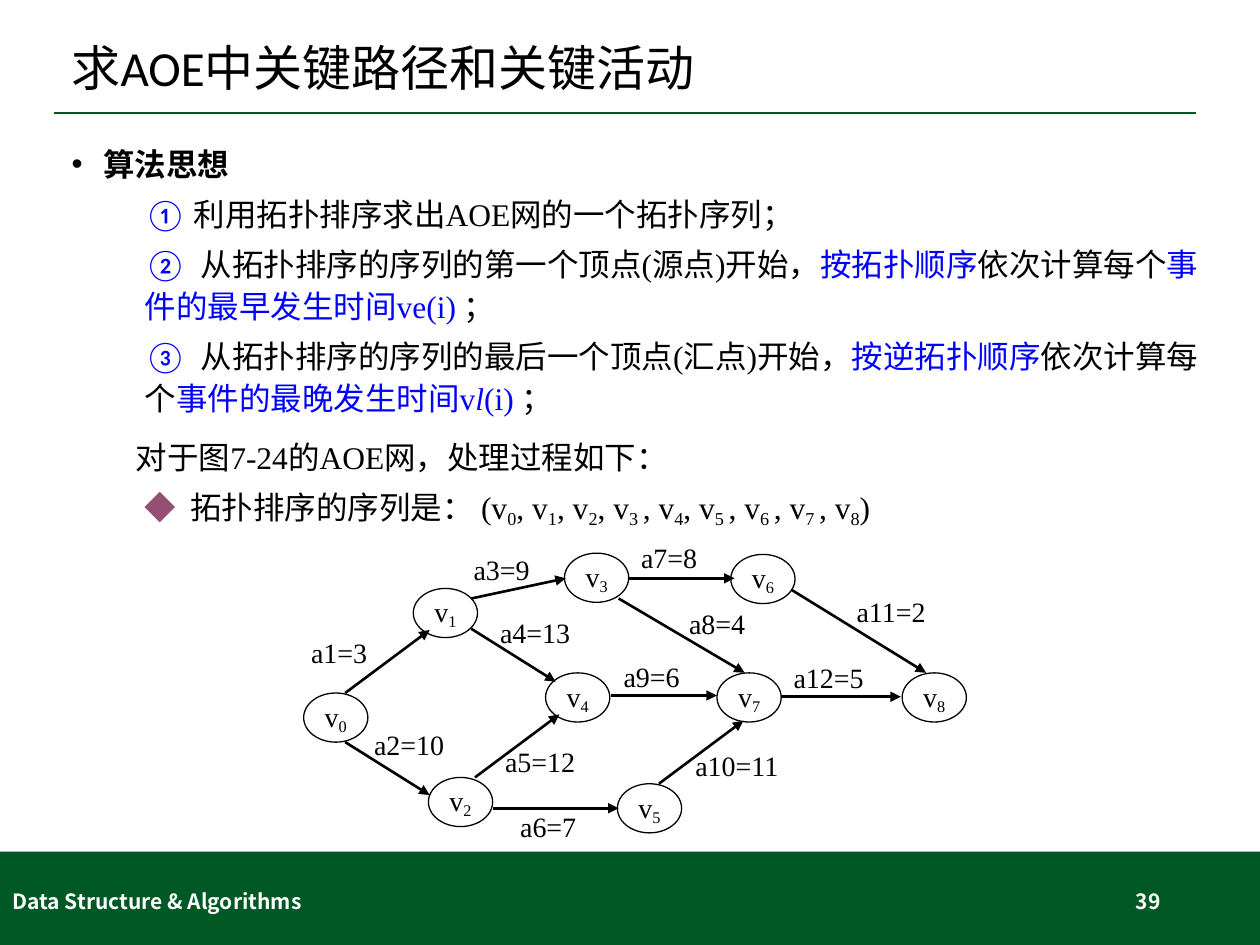
from lxml import etree
from pptx import Presentation
from pptx import util as u
from pptx.dml.color import RGBColor
from pptx.enum import shapes, text
from pptx.oxml.ns import qn

COLORS = {"green": "005825", "black": "000000", "white": "FFFFFF",
          "blue": "0000FF", "plum": "954F72"}
SERIF, SANS, FOOTER = "Times New Roman", "Calibri", "Noto Sans CJK SC"

# The grid has 100 columns and 75 rows of square cells
WIDTH, HEIGHT = u.Inches(10), u.Inches(7.5)
CELL = WIDTH / 100
NODE_WIDTH, NODE_HEIGHT = 5.1, 3.9
LABEL_WIDTH, LABEL_HEIGHT = 9.5, 3.5

BLUE, SUB = {"color": "blue"}, {"subscript": True}

# Left column and top row of each vertex
NODES = [(24.1, 55), (32.8, 46.7), (34, 61.7), (44.8, 43.9), (43.3, 53.4),
         (49, 62.2), (58, 44), (56.9, 53.4), (71.6, 53.4)]

# Activity: label, label column and row, arrow start, arrow end
EDGES = [
    ("a1=3", (23.7, 50), (27.4, 55), (34.1, 50)),
    ("a2=10", (28.7, 57.3), (27.4, 58.9), (34.1, 63.1)),
    ("a3=9", (36.6, 43.4), (37.4, 47.5), (44.9, 45.9)),
    ("a4=13", (38.7, 48.4), (37.4, 49.9), (44.1, 54.1)),
    ("a5=12", (39.1, 58.7), (37.7, 61.7), (44.4, 56.7)),
    ("a6=7", (40.3, 63.8), (39.1, 64.15), (49.1, 64.15)),
    ("a7=8", (49.9, 42.5), (49.9, 45.9), (58.3, 45.9)),
    ("a8=4", (53.7, 47.7), (49.1, 47.5), (59.1, 53.4)),
    ("a9=6", (48.5, 51.9), (48.5, 55.2), (56.9, 55.2)),
    ("a10=11", (54.2, 59), (52.3, 62.2), (59, 57.2)),
    ("a11=2", (67, 46.8), (62.8, 46.8), (73.5, 53.4)),
    ("a12=5", (62, 52), (62, 55.3), (71.5, 55.3)),
]


def cells(*values):
    return [u.Emu(round(value * CELL)) for value in values]


def rgb(name):
    return RGBColor.from_string(COLORS[name])


def write(paragraph, pieces, size=16, font=SERIF, color="black", bold=False,
          italic=False, subscript=False):
    """Add pieces, each a string or a (string, format overrides) pair."""
    base = dict(size=size, font=font, color=color, bold=bold,
                italic=italic, subscript=subscript)
    for piece in [pieces] if isinstance(pieces, str) else pieces:
        words, changes = (piece, {}) if isinstance(piece, str) else piece
        style = {**base, **changes}
        run = paragraph.add_run()
        run.text = words
        run.font.size = u.Pt(style["size"])
        run.font.bold, run.font.italic = style["bold"], style["italic"]
        run.font.color.rgb = rgb(style["color"])
        run.font.name = style["font"]
        properties = run._r.get_or_add_rPr()
        properties.set("lang", "zh-CN")
        east_asian = FOOTER if style["font"] == FOOTER else SANS
        etree.SubElement(properties, qn("a:ea"), typeface=east_asian)
        if style["subscript"]:
            properties.set("baseline", "-18000")


def add_text(slide, place, pieces, align=text.PP_ALIGN.LEFT, **style):
    frame = slide.shapes.add_textbox(*cells(*place)).text_frame
    frame.word_wrap = True
    frame.vertical_anchor = text.MSO_ANCHOR.MIDDLE
    frame.paragraphs[0].alignment = align
    write(frame.paragraphs[0], pieces, **style)


def add_line(slide, start, end, color="black", width=1.5, arrow=False):
    line = slide.shapes.add_connector(
        shapes.MSO_CONNECTOR.STRAIGHT, *cells(*start, *end))
    line.line.color.rgb = rgb(color)
    line.line.width = u.Pt(width)
    if arrow:
        etree.SubElement(line.line._get_or_add_ln(), qn("a:tailEnd"),
                         type="triangle")
    etree.SubElement(line._element.spPr, qn("a:effectLst"))


def add_node(slide, number, corner):
    node = slide.shapes.add_shape(
        shapes.MSO_SHAPE.OVAL, *cells(*corner, NODE_WIDTH, NODE_HEIGHT))
    node.shadow.inherit = False
    node.fill.background()
    node.line.color.rgb = rgb("black")
    node.line.width = u.Pt(0.75)
    frame = node.text_frame
    frame.word_wrap = False
    frame.margin_left = frame.margin_right = 0
    frame.margin_top = frame.margin_bottom = 0
    frame.vertical_anchor = text.MSO_ANCHOR.MIDDLE
    frame.paragraphs[0].alignment = text.PP_ALIGN.CENTER
    write(frame.paragraphs[0], ["v", (str(number), SUB)])


def add_frame(slide):
    """Title, rule and footer band."""
    band = slide.shapes.add_shape(
        shapes.MSO_SHAPE.RECTANGLE, *cells(0, 67.6, 100, 7.4))
    band.shadow.inherit = False
    band.fill.solid()
    band.fill.fore_color.rgb = rgb("green")
    band.line.fill.background()
    add_line(slide, (4.3, 8.96), (94.9, 8.96), color="green", width=1)

    title = slide.shapes.title
    title.left, title.top, title.width, title.height = cells(
        4.7, 2.3, 90.6, 6.6)
    title.text_frame.vertical_anchor = text.MSO_ANCHOR.MIDDLE
    paragraph = title.text_frame.paragraphs[0]
    paragraph.alignment = text.PP_ALIGN.LEFT
    paragraph.line_spacing = 0.9
    write(paragraph, "求AOE中关键路径和关键活动", size=28, font=SANS)

    footer = dict(size=12, font=FOOTER, color="white", bold=True)
    add_text(slide, (0, 69.5, 33.8, 4), "Data Structure & Algorithms", **footer)
    add_text(slide, (70.6, 69.5, 22.5, 4), "39",
             align=text.PP_ALIGN.RIGHT, **footer)


def add_body(slide):
    sequence = [("◆  ", {"color": "plum"}), "拓扑排序的序列是： (v"]
    for number in ("0", "1", "2", "3 ", "4", "5 ", "6 ", "7 ", "8"):
        sequence += [(number, SUB), ", v"]
    sequence[-1] = ")"

    # Space before, left margin in cells, pieces
    steps = [
        (0, 2.5, [("算法思想", {"bold": True})]),
        (5, 5.8, [("① ", BLUE), "利用拓扑排序求出AOE网的一个拓扑序列；"]),
        (5, 5.8, [("②  ", BLUE), "从拓扑排序的序列的第一个顶点(源点)开始，",
                  ("按拓扑顺序", BLUE), "依次计算每个",
                  ("事件的最早发生时间ve(i) ", BLUE), "；"]),
        (5, 5.8, [("③  ", BLUE), "从拓扑排序的序列的最后一个顶点(汇点)开始，",
                  ("按逆拓扑顺序", BLUE), "依次计算每个",
                  ("事件的最晚发生时间v", BLUE),
                  ("l", {**BLUE, "italic": True}), ("(i) ", BLUE), "；"]),
        (10, 5.1, "对于图7-24的AOE网，处理过程如下："),
        (5, 5.8, sequence),
    ]
    frame = slide.shapes.add_textbox(*cells(4.7, 10.7, 91.4, 32)).text_frame
    frame.word_wrap = True
    for index, (space, margin, pieces) in enumerate(steps):
        paragraph = frame.add_paragraph() if index else frame.paragraphs[0]
        paragraph.line_spacing = 1.1
        paragraph.space_before = u.Pt(space)
        properties = paragraph._p.get_or_add_pPr()
        left = cells(margin)[0]
        properties.set("marL", str(left))
        properties.set("indent", "0" if index else str(-left))
        if index == 0:
            etree.SubElement(properties, qn("a:buFont"), typeface="Arial")
            etree.SubElement(properties, qn("a:buChar"), char="•")
        write(paragraph, pieces, size=18)


def add_network(slide):
    for number, corner in enumerate(NODES):
        add_node(slide, number, corner)
    for label, corner, start, end in EDGES:
        add_text(slide, (*corner, LABEL_WIDTH, LABEL_HEIGHT), label)
        add_line(slide, start, end, arrow=True)


def main():
    presentation = Presentation()
    presentation.slide_width, presentation.slide_height = WIDTH, HEIGHT
    slide = presentation.slides.add_slide(presentation.slide_layouts[5])
    add_frame(slide)
    add_body(slide)
    add_network(slide)
    presentation.save("out.pptx")


if __name__ == "__main__":
    main()
